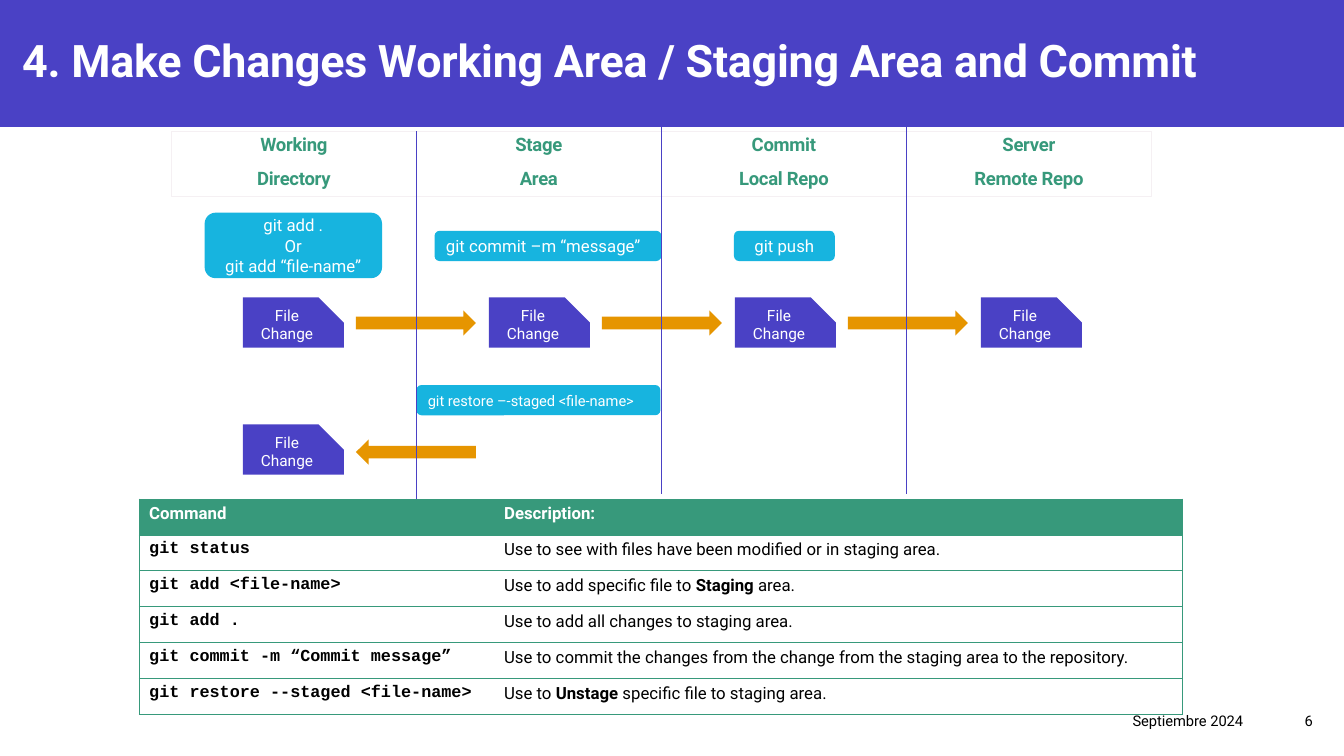
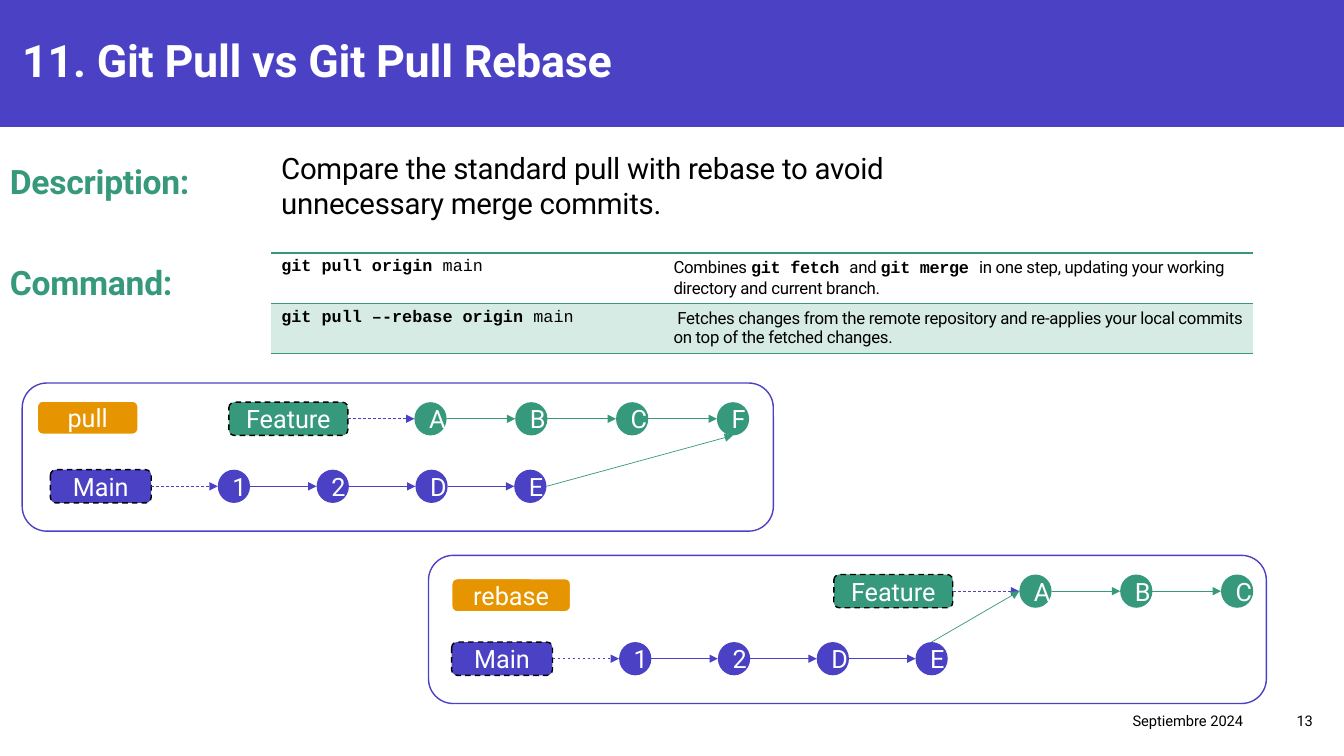
from dataclasses import dataclass, replace

from lxml.etree import SubElement
from pptx import Presentation
from pptx.dml.color import RGBColor
from pptx.enum.dml import MSO_LINE
from pptx.enum.shapes import MSO_CONNECTOR, MSO_SHAPE
from pptx.enum.text import MSO_ANCHOR, PP_ALIGN
from pptx.oxml.ns import qn
from pptx.util import Inches, Pt


@dataclass(frozen=True)
class Style:
    size: float
    color: str = "000000"
    bold: bool = False
    font: str = "Roboto"
    tracking: float = 0


@dataclass(frozen=True)
class Theme:
    purple: str = "4A41C5"
    green: str = "37997B"
    pale_green: str = "D7EBE5"
    orange: str = "E69500"
    cyan: str = "17B4DF"
    mist: str = "F5F0F3"
    white: str = "FFFFFF"
    black: str = "000000"
    title: Style = Style(32, "FFFFFF", True, tracking=-0.2)
    label: Style = Style(24, "37997B", True, tracking=-0.2)
    lead: Style = Style(21, tracking=-0.2)
    heading: Style = Style(13.2, "37997B", True, tracking=-0.2)
    footer: Style = Style(10.5)
    node: Style = Style(18, "FFFFFF")
    bubble: Style = Style(12, "FFFFFF")
    small_bubble: Style = Style(10.5, "FFFFFF")
    file: Style = Style(11, "FFFFFF")
    table_head: Style = Style(12, "FFFFFF", True)
    prose: Style = Style(12)
    code: Style = Style(12, bold=True, font="Courier New")


@dataclass(frozen=True)
class Box:
    left: float
    top: float
    width: float
    height: float

    def inner(self, left, top, width, height):
        return Box(self.left + left, self.top + top, width, height)

    def inches(self):
        return [Inches(n) for n in (self.left, self.top, self.width, self.height)]


THEME = Theme()
STRONG = replace(THEME.prose, bold=True)
PLAIN_CODE = replace(THEME.code, bold=False)
TIGHT = replace(THEME.prose, tracking=-0.2)
TIGHT_CODE = replace(THEME.code, tracking=-0.2)
SLIDE = Box(0, 0, 13.33, 7.5)
FILE_PITCH = 2.44
NODE_WIDTH, NODE_HEIGHT = 0.32, 0.33


def rgb(color):
    return RGBColor.from_string(color)


def format_span(span, style):
    span.font.name = style.font
    span.font.size = Pt(style.size)
    span.font.bold = style.bold
    span.font.color.rgb = rgb(style.color)
    if style.tracking:
        span.font._element.set("spc", str(round(style.tracking * 100)))


def write(frame, text, style, align=PP_ALIGN.LEFT, anchor=MSO_ANCHOR.MIDDLE,
          line_spacing=None, space_before=0):
    frame.text = text
    frame.word_wrap = True
    frame.vertical_anchor = anchor
    for para in frame.paragraphs:
        para.alignment = align
        para.line_spacing = line_spacing
        para.space_before = Pt(space_before)
        for span in para.runs:
            format_span(span, style)


def add_text(page, box, text, style, **options):
    write(page.shapes.add_textbox(*box.inches()).text_frame, text, style, **options)


def add_box(page, kind, box, fill=None, line=None, line_width=1, dashed=False):
    shape = page.shapes.add_shape(kind, *box.inches())
    shape.shadow.inherit = False
    if fill:
        shape.fill.solid()
        shape.fill.fore_color.rgb = rgb(fill)
    else:
        shape.fill.background()
    if line:
        shape.line.color.rgb = rgb(line)
        shape.line.width = Pt(line_width)
        if dashed:
            shape.line.dash_style = MSO_LINE.DASH
    else:
        shape.line.fill.background()
    return shape


def add_line(page, start, end, color, arrow=False, dashed=False):
    points = [Inches(n) for n in (*start, *end)]
    connector = page.shapes.add_connector(MSO_CONNECTOR.STRAIGHT, *points)
    connector.line.color.rgb = rgb(color)
    connector.line.width = Pt(0.5)
    if dashed:
        connector.line.dash_style = MSO_LINE.DASH
    properties = connector._element.spPr
    if arrow:
        SubElement(properties.find(qn("a:ln")), qn("a:tailEnd"), type="triangle")
    SubElement(properties, qn("a:effectLst"))


def set_borders(cell, color, width, visible):
    properties = cell._tc.get_or_add_tcPr()
    for side in "LRTB":
        border = SubElement(properties, qn(f"a:ln{side}"), w=str(Pt(width)))
        if side in visible:
            fill = SubElement(border, qn("a:solidFill"))
            SubElement(fill, qn("a:srgbClr"), val=color)
        else:
            SubElement(border, qn("a:noFill"))


def draw_table(page, box, columns, rows, fills, rule_width, framed=False):
    table = page.shapes.add_table(len(rows), len(columns), *box.inches()).table
    table.first_row = table.horz_banding = False
    for column, width in zip(table.columns, columns):
        column.width = Inches(width)
    for row_index, (row, fill) in enumerate(zip(rows, fills)):
        for column_index, spans in enumerate(row):
            cell = table.cell(row_index, column_index)
            outer_side = "LR"[column_index] if framed else ""
            set_borders(cell, THEME.green, rule_width, "TB" + outer_side)
            if fill:
                cell.fill.solid()
                cell.fill.fore_color.rgb = rgb(fill)
            else:
                cell.fill.background()
            para = cell.text_frame.paragraphs[0]
            for text, style in spans:
                span = para.add_run()
                span.text = text
                format_span(span, style)


def add_band(page, layout):
    band = add_box(page, MSO_SHAPE.RECTANGLE, SLIDE.inner(0, 0, SLIDE.width, 1.26), THEME.purple)
    layout.element.cSld.spTree.insert(2, band.element)


def start_page(deck, title, number):
    page = deck.slides.add_slide(deck.slide_layouts[5])
    heading = page.shapes.title
    heading.left, heading.top, heading.width, heading.height = Box(0.12, 0.27, 13, 0.65).inches()
    write(heading.text_frame, title, THEME.title)
    footer = Box(7.67, 6.95, 5.45, 0.4)
    for box, text in ((footer.inner(0, 0, 4.76, 0.4), "Septiembre 2024"),
                      (footer.inner(4.76, 0, 0.69, 0.4), number)):
        add_text(page, box, text, THEME.footer, align=PP_ALIGN.RIGHT)
    return page


def draw_file(page, box):
    shape = add_box(page, MSO_SHAPE.SNIP_1_RECTANGLE, box, THEME.purple)
    shape.adjustments[0] = 0.5
    write(shape.text_frame, "File Change", THEME.file, PP_ALIGN.CENTER, MSO_ANCHOR.BOTTOM)


def draw_areas(page, region):
    column_width = region.width / 4
    names = ("Working\nDirectory", "Stage\nArea", "Commit\nLocal Repo", "Server\nRemote Repo")
    for index, name in enumerate(names):
        box = region.inner(index * column_width, 0, column_width, 0.65)
        shape = add_box(page, MSO_SHAPE.RECTANGLE, box, line=THEME.mist, line_width=0.75)
        write(shape.text_frame, name, THEME.heading, PP_ALIGN.CENTER, MSO_ANCHOR.TOP, 0.9, 10)

    for index in range(4):
        draw_file(page, region.inner(0.71 + index * FILE_PITCH, 1.65, 1, 0.5))
    draw_file(page, region.inner(0.71, 2.91, 1, 0.5))

    for index, top, turn in ((0, 1.78, 0), (1, 1.78, 0), (2, 1.78, 0), (0, 3.06, 180)):
        box = region.inner(1.83 + index * FILE_PITCH, top, 1.19, 0.25)
        add_box(page, MSO_SHAPE.RIGHT_ARROW, box, THEME.orange).rotation = turn

    bubbles = (
        ((0.33, 0.81, 1.76, 0.65), "git add .\nOr\ngit add “file-name”", THEME.bubble, PP_ALIGN.CENTER),
        ((2.61, 0.99, 2.25, 0.3), "git commit –m “message”", THEME.bubble, PP_ALIGN.LEFT),
        ((5.58, 0.99, 1, 0.3), "git push", THEME.bubble, PP_ALIGN.CENTER),
        ((2.43, 2.52, 2.42, 0.3), "git restore –-staged <file-name>", THEME.small_bubble, PP_ALIGN.LEFT),
    )
    for place, text, style, align in bubbles:
        shape = add_box(page, MSO_SHAPE.ROUNDED_RECTANGLE, region.inner(*place), THEME.cyan)
        write(shape.text_frame, text, style, align)

    for index, rise in ((1, 0), (2, 0.05), (3, 0.05)):
        x = region.left + index * column_width
        top = region.top - rise
        add_line(page, (x, top), (x, top + region.height), THEME.purple)


def draw_tag(page, box, text, fill, line, dashed=False):
    shape = add_box(page, MSO_SHAPE.ROUNDED_RECTANGLE, box, fill, line, dashed=dashed)
    write(shape.text_frame, text, THEME.node, PP_ALIGN.CENTER)


def draw_branch(page, tag, name, color, commits, gap, pitch):
    draw_tag(page, tag, name, color, THEME.black, dashed=True)
    middle = tag.top + NODE_HEIGHT / 2
    previous_right = tag.left + tag.width
    nodes = []
    for index, commit in enumerate(commits):
        node = tag.inner(gap + index * pitch, 0, NODE_WIDTH, NODE_HEIGHT)
        shape = add_box(page, MSO_SHAPE.OVAL, node, color)
        write(shape.text_frame, commit, THEME.node, PP_ALIGN.CENTER)
        first = index == 0
        add_line(page, (previous_right, middle), (node.left, middle),
                 THEME.purple if first else color, arrow=True, dashed=first)
        previous_right = node.left + node.width
        nodes.append(node)
    return nodes


def draw_history(page, panel, mode, mode_place, main_left, feature_left, feature_commits):
    add_box(page, MSO_SHAPE.ROUNDED_RECTANGLE, panel, line=THEME.purple)
    draw_tag(page, panel.inner(*mode_place), mode, THEME.orange, THEME.white)
    main = draw_branch(page, panel.inner(main_left, 0.86, 1, NODE_HEIGHT),
                       "Main", THEME.purple, "12DE", 1.66, 0.98)
    feature = draw_branch(page, panel.inner(feature_left, 0.19, 1.18, NODE_HEIGHT),
                          "Feature", THEME.green, feature_commits, 1.84, 1)
    return main[-1], feature


def build_areas_page(deck):
    page = start_page(deck, "4. Make Changes Working Area / Staging Area and Commit", "6")
    add_band(page, deck.slide_layouts[5])
    draw_areas(page, Box(1.7, 1.3, 9.72, 3.65))
    rows = [
        [[("Command", THEME.table_head)], [("Description:", THEME.table_head)]],
        [[("git status", THEME.code)],
         [("Use to see with files have been modified or in staging area.", THEME.prose)]],
        [[("git add <file-name>", THEME.code)],
         [("Use to add specific file to ", THEME.prose), ("Staging", STRONG), (" area.", THEME.prose)]],
        [[("git add .", THEME.code)], [("Use to add all changes to staging area.", THEME.prose)]],
        [[("git commit -m “Commit message”", THEME.code)],
         [("Use to commit the changes from the change from the staging area to the repository.", THEME.prose)]],
        [[("git restore --staged <file-name>", THEME.code)],
         [("Use to ", THEME.prose), ("Unstage", STRONG), (" specific file to staging area.", THEME.prose)]],
    ]
    draw_table(page, Box(1.38, 4.95, 10.35, 2.14), (3.52, 6.83), rows,
               [THEME.green] + [None] * 5, 0.5, framed=True)


def build_pull_page(deck):
    page = start_page(deck, "11. Git Pull vs Git Pull Rebase", "13")
    for index, label in enumerate(("Description:", "Command:")):
        add_text(page, Box(0, 1.51 + index, 3.11, 0.65), label, THEME.label,
                 anchor=MSO_ANCHOR.TOP, line_spacing=1.1, space_before=10)
    add_text(page, Box(2.69, 1.42, 7.71, 0.84),
             "Compare the standard pull with rebase to avoid unnecessary merge commits.", THEME.lead)
    rows = [
        [[("git pull origin ", THEME.code), ("main", PLAIN_CODE)],
         [("Combines ", TIGHT), ("git fetch ", TIGHT_CODE), ("and ", TIGHT), ("git merge ", TIGHT_CODE),
          ("in one step, updating your working directory and current branch.", TIGHT)]],
        [[("git pull –-rebase origin ", THEME.code), ("main", PLAIN_CODE)],
         [(" Fetches changes from the remote repository and re-applies your local commits "
           "on top of the fetched changes.", TIGHT)]],
    ]
    draw_table(page, Box(2.69, 2.51, 9.74, 1), (3.89, 5.85), rows, [None, THEME.pale_green], 1)

    last_main, feature = draw_history(page, Box(0.22, 3.8, 7.45, 1.47), "pull",
                                      (0.15, 0.18, 1, 0.33), 0.28, 2.05, "ABCF")
    merge = feature[-1]
    add_line(page, (last_main.left + NODE_WIDTH, last_main.top + NODE_HEIGHT / 2),
             (merge.left + NODE_WIDTH / 2, merge.top + NODE_HEIGHT), THEME.green, arrow=True)

    last_main, feature = draw_history(page, Box(4.25, 5.51, 8.31, 1.47), "rebase",
                                      (0.23, 0.23, 1.18, 0.33), 0.23, 4.02, "ABC")
    base = feature[0]
    add_line(page, (last_main.left + NODE_WIDTH / 2, last_main.top),
             (base.left, base.top + NODE_HEIGHT / 2), THEME.green, arrow=True)


def main():
    deck = Presentation()
    deck.slide_width, deck.slide_height = Inches(SLIDE.width), Inches(SLIDE.height)
    build_areas_page(deck)
    build_pull_page(deck)
    deck.save("out.pptx")


if __name__ == "__main__":
    main()
